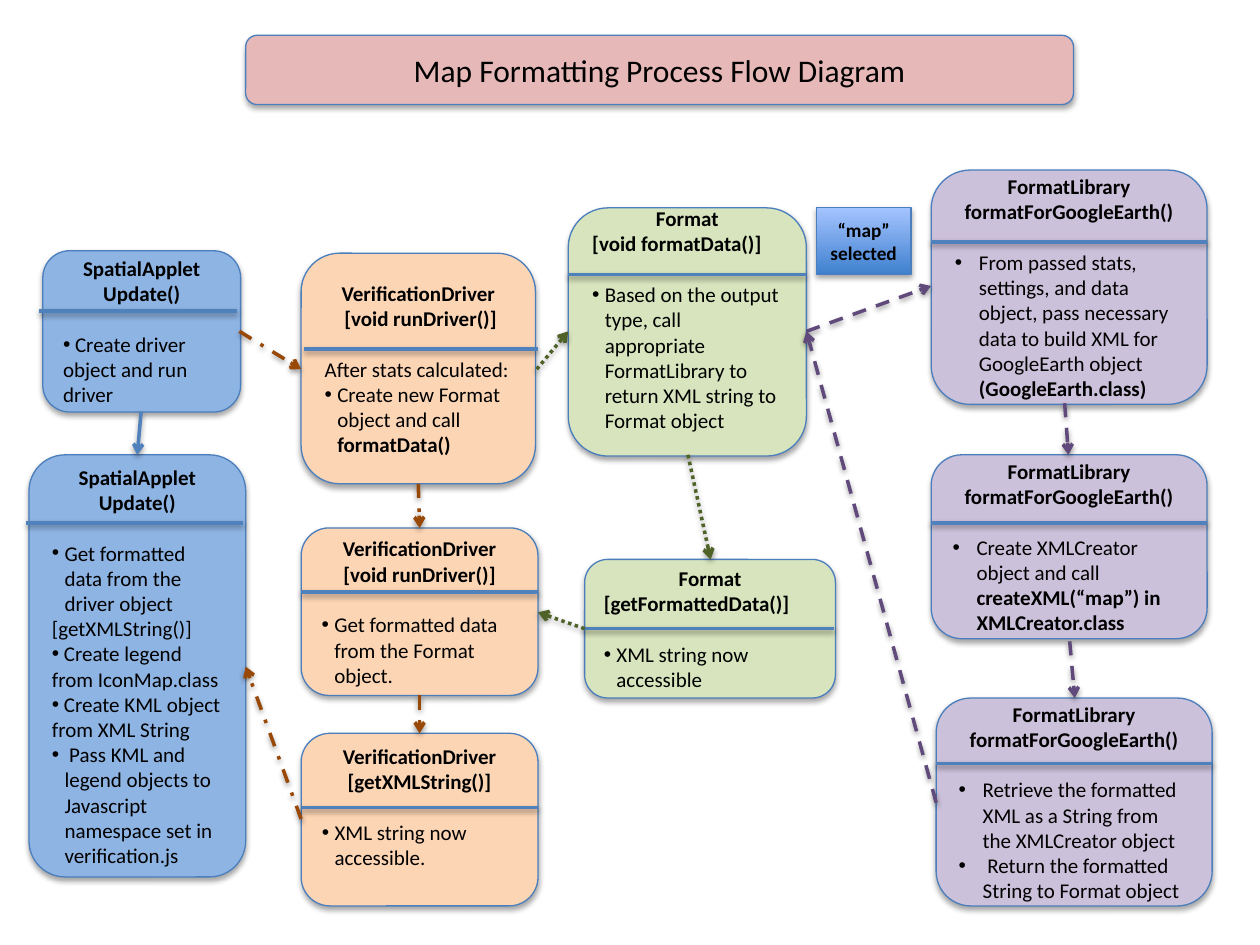
from lxml.etree import SubElement
from pptx import Presentation
from pptx.dml.color import RGBColor
from pptx.enum.dml import MSO_LINE
from pptx.enum.shapes import MSO_CONNECTOR, MSO_SHAPE
from pptx.enum.text import MSO_ANCHOR, PP_ALIGN
from pptx.oxml.ns import qn
from pptx.util import Inches, Pt

BLUE = RGBColor(0x8E, 0xB4, 0xE3)
PEACH = RGBColor(0xFC, 0xD5, 0xB5)
GREEN = RGBColor(0xD7, 0xE4, 0xBD)
LILAC = RGBColor(0xCC, 0xC1, 0xDA)
ROSE = RGBColor(0xE6, 0xB9, 0xB8)
EDGE = RGBColor(0x4B, 0x7E, 0xBC)
RULE = RGBColor(0x4F, 0x81, 0xBD)
RUST = RGBColor(0x98, 0x48, 0x07)
MOSS = RGBColor(0x4F, 0x62, 0x28)
PLUM = RGBColor(0x60, 0x4A, 0x7B)
DEEP = RGBColor(0x3F, 0x80, 0xCE)
PALE = RGBColor(0xA4, 0xC4, 0xFF)
BLACK = RGBColor(0, 0, 0)

UPDATE = ["SpatialApplet", "Update()"]
LIBRARY = ["FormatLibrary", "formatForGoogleEarth()"]


def shade(props, alpha, drop):
    """Give shape properties a soft shadow that falls straight down."""
    glow = props.find(qn("a:effectLst"))
    if glow is None:
        glow = SubElement(props, qn("a:effectLst"))
    cast = SubElement(glow, qn("a:outerShdw"), blurRad="40000", dist=str(drop),
                      dir="5400000", rotWithShape="0")
    tint = SubElement(cast, qn("a:srgbClr"), val="000000")
    SubElement(tint, qn("a:alpha"), val=str(alpha * 1000))


def panel(slide, box, fill, kind=MSO_SHAPE.ROUNDED_RECTANGLE):
    """Add an outlined, shadowed shape; a list of two fills makes a gradient."""
    shape = slide.shapes.add_shape(kind, *map(Inches, box))
    if isinstance(fill, list):
        shape.fill.gradient()
        shape.fill.gradient_angle = 90
        for stop, color in zip(shape.fill.gradient_stops, fill):
            stop.color.rgb = color
    else:
        shape.fill.solid()
        shape.fill.fore_color.rgb = fill
    shape.line.color.rgb = EDGE
    shape.line.width = Pt(0.75)
    shape.shadow.inherit = False
    shade(shape._element.spPr, 35, 23000)
    frame = shape.text_frame
    frame.word_wrap = True
    frame.vertical_anchor = MSO_ANCHOR.MIDDLE
    return frame


def write(frame, first, runs, size=12, align=PP_ALIGN.LEFT):
    """Write one paragraph from pairs of text and bold flag."""
    para = frame.paragraphs[0] if first else frame.add_paragraph()
    para.alignment = align
    for text, bold in runs:
        run = para.add_run()
        run.text = text
        run.font.name = "Calibri"
        run.font.size = Pt(size)
        run.font.bold = bold
        run.font.color.rgb = BLACK
    return para


def label(slide, box, fill, lines, size, bold, kind):
    """Add a panel with centred lines."""
    frame = panel(slide, box, fill, kind)
    for i, text in enumerate(lines):
        write(frame, i == 0, [(text, bold)], size, PP_ALIGN.CENTER)


def link(slide, start, end, color, dash=None, arrow=True):
    """Draw a straight line, with an arrowhead at its end if asked."""
    wire = slide.shapes.add_connector(
        MSO_CONNECTOR.STRAIGHT, *map(Inches, (*start, *end)))
    wire.line.color.rgb = color
    wire.line.width = Pt(2)
    if dash:
        wire.line.dash_style = dash
    props = wire._element.spPr
    if arrow:
        SubElement(props.find(qn("a:ln")), qn("a:tailEnd"), type="arrow")
    shade(props, 38, 20000)


def card(slide, box, fill, heads, body, rule, left=False, lift=0):
    """Add a step: bold heading, rule below it, and (indent, bullet, runs) items."""
    x, y, wide, _ = box
    frame = panel(slide, box, fill)
    frame.margin_bottom = Inches(0.05 + lift)
    for i, text in enumerate(heads):
        side = PP_ALIGN.LEFT if left and i else PP_ALIGN.CENTER
        write(frame, i == 0, [(text, True)], align=side)
    for i, (indent, bullet, runs) in enumerate(body):
        para = write(frame, False, runs)
        if i == 0:
            para.space_before = Pt(14.6)
        props = para._p.get_or_add_pPr()
        if indent:
            props.set("marL", str(Inches(indent)))
            props.set("indent", str(-Inches(indent)))
        if bullet:
            SubElement(props, qn("a:buFont"), typeface="Arial")
            SubElement(props, qn("a:buChar"), char="•")
    dx, dy = rule
    link(slide, (x + dx, y + dy), (x + dx + wide, y + dy), RULE, arrow=False)


def item(text, strong="", indent=0.1, bullet=True):
    """Describe one body paragraph with an optional bold ending."""
    runs = [(text, False)] + ([(strong, True)] if strong else [])
    return indent, bullet, runs


def applet(slide):
    """Build the blue column."""
    card(slide, (0.34, 1.99, 1.57, 1.28), BLUE, UPDATE,
         [item(" Create driver object and run driver", indent=0)], (-0.03, 0.48))
    card(slide, (0.23, 3.61, 1.72, 3.35), BLUE, UPDATE, [
        item("Get formatted data from the driver object"),
        item("[getXMLString()]", indent=0, bullet=False),
        item(" Create legend from IconMap.class", indent=0),
        item(" Create KML object from XML String ", indent=0),
        item(" Pass KML and legend objects to Javascript namespace set in "
             "verification.js")], (-0.02, 0.54))


def driver(slide):
    """Build the peach column."""
    name = "VerificationDriver"
    card(slide, (2.39, 2.01, 1.86, 1.83), PEACH, [name, " [void runDriver()]"], [
        item("After stats calculated:", indent=0, bullet=False),
        item("Create new Format object and call ", "formatData()")], (0.02, 0.76))
    card(slide, (2.39, 4.19, 1.88, 1.33), PEACH, [name, "[void runDriver()]"],
         [item("Get formatted data from the Format object.")], (0, 0.51))
    card(slide, (2.39, 5.82, 1.88, 1.37), PEACH, [name, "[getXMLString()]"],
         [item("XML string now accessible.")], (0, 0.59), lift=0.2)


def layout(slide):
    """Build the green column and its choice tag."""
    card(slide, (4.51, 1.65, 1.89, 1.97), GREEN, ["Format", "[void formatData()]"],
         [item("Based on the output type, call appropriate FormatLibrary to "
               "return XML string to Format object")],
         (0, 0.53), left=True, lift=0.2)
    card(slide, (4.64, 4.44, 1.99, 1.1), GREEN, ["Format", "[getFormattedData()]"],
         [item("XML string now accessible")], (-0.01, 0.55), left=True)
    label(slide, (6.48, 1.65, 0.75, 0.53), [DEEP, PALE], ["“map”", "selected"],
          11, True, MSO_SHAPE.RECTANGLE)


def library(slide):
    """Build the lilac column."""
    card(slide, (7.39, 1.35, 2.19, 1.86), LILAC, LIBRARY,
         [item("From passed stats, settings, and data object, pass necessary data "
               "to build XML for GoogleEarth object ", "(GoogleEarth.class)", 0.19)],
         (0, 0.57))
    card(slide, (7.39, 3.61, 2.19, 1.46), LILAC, LIBRARY,
         [item("Create XMLCreator object and call ",
               "createXML(“map”) in XMLCreator.class", 0.19)], (0, 0.54))
    card(slide, (7.43, 5.54, 2.19, 1.65), LILAC, LIBRARY, [
        item("Retrieve the formatted XML as a String from the XMLCreator object",
             indent=0.19),
        item(" Return the formatted String to Format object", indent=0.19)],
        (0, 0.52))


def flow(slide):
    """Draw the arrows between the steps."""
    groups = [
        (RULE, None, [((1.12, 3.27), (1.09, 3.61))]),
        (RUST, MSO_LINE.DASH_DOT, [
            ((1.9, 2.63), (2.39, 2.93)), ((3.32, 3.84), (3.33, 4.19)),
            ((3.33, 5.52), (3.33, 5.82)), ((2.39, 6.5), (1.95, 5.29))]),
        (MOSS, MSO_LINE.ROUND_DOT, [
            ((4.26, 2.93), (4.51, 2.63)), ((5.46, 3.61), (5.64, 4.44)),
            ((4.64, 4.99), (4.27, 4.86))]),
        (PLUM, MSO_LINE.DASH, [
            ((6.4, 2.63), (7.39, 2.27)), ((8.45, 3.2), (8.48, 3.61)),
            ((8.49, 5.09), (8.53, 5.54)), ((7.43, 6.37), (6.4, 2.63))]),
    ]
    for color, dash, routes in groups:
        for start, end in routes:
            link(slide, start, end, color, dash)


deck = Presentation()
deck.slide_width = Inches(10)
deck.slide_height = Inches(7.5)
page = deck.slides.add_slide(deck.slide_layouts[6])
label(page, (1.95, 0.28, 6.57, 0.55), ROSE, ["Map Formatting Process Flow Diagram"],
      18, False, MSO_SHAPE.ROUNDED_RECTANGLE)
for build in (applet, driver, layout, library, flow):
    build(page)
deck.save("out.pptx")
